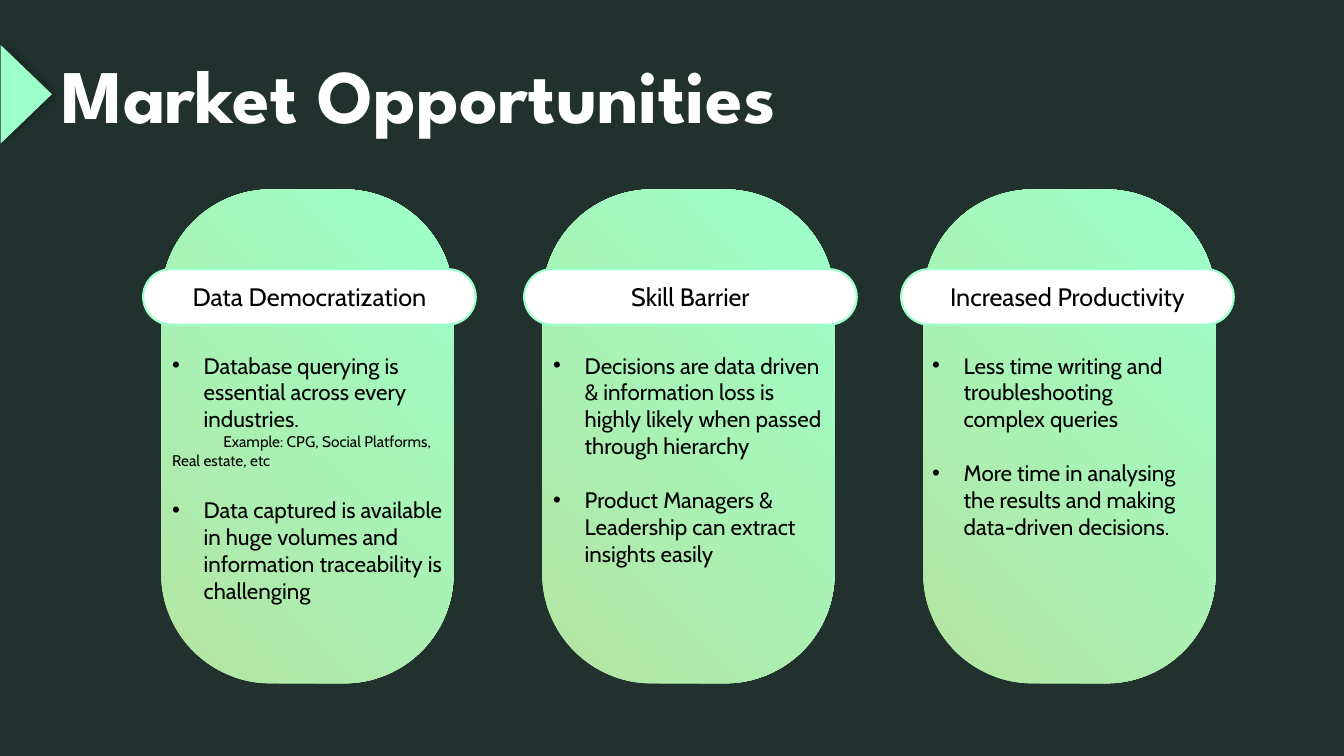
"""Build the Market Opportunities slide with three headed columns."""
import lxml.etree
import pptx
import pptx.dml.color
import pptx.enum.dml
import pptx.enum.shapes
import pptx.enum.text
import pptx.oxml.ns
import pptx.util

Pt = pptx.util.Pt
RGB = pptx.dml.color.RGBColor.from_string
SHAPE = pptx.enum.shapes.MSO_SHAPE
ANCHOR = pptx.enum.text.MSO_ANCHOR
ALIGN = pptx.enum.text.PP_ALIGN
qn = pptx.oxml.ns.qn

TITLE = "Market Opportunities"
COLUMNS = [
    {"head": "Data Democratization", "pill_x": 102.24, "text_x": 115.92, "text_w": 208.8,
     "body": [("bullet", "Database querying is essential across every industries."),
              ("example", "Example: CPG, Social Platforms, Real estate, etc"),
              ("bullet", "Data captured is available in huge volumes and "
                         "information traceability is challenging")]},
    {"head": "Skill Barrier", "pill_x": 374.4, "text_x": 388.08, "text_w": 208.8,
     "body": [("bullet", "Decisions are data driven & information loss is "
                         "highly likely when passed through hierarchy"),
              ("bullet", "Product Managers & Leadership can extract insights easily")]},
    {"head": "Increased Productivity", "pill_x": 643.68, "text_x": 658.8, "text_w": 189.36,
     "body": [("bullet", "Less time writing and troubleshooting complex queries"),
              ("bullet", "More time in analysing the results and making "
                         "data-driven decisions.")]},
]
THEME = {
    "background": RGB("21322E"), "mint": RGB("9DFFCA"), "leaf": RGB("B4E5A2"),
    "white": RGB("FFFFFF"), "black": RGB("000000"),
    "title_font": "League Spartan", "body_font": "Cabin",
    "title": Pt(54), "head": Pt(18), "bullet": Pt(16), "example": Pt(11),
}
CARD_X, CARD_STEP, CARD_Y, CARD_W, CARD_H = 115.2, 272.16, 135.36, 208.8, 352.8
PILL_Y, PILL_W, PILL_H = 192.24, 237.6, 39.6
BODY_Y, BODY_H = 247.68, 211
INDENT = {"bullet": (22.5, -22.5), "example": (0, 36.5)}
BULLET_GAP = 19.4


def style(p, font, size, color, bold=False):
    """Format a whole paragraph."""
    p.font.name, p.font.size, p.font.bold = font, size, bold
    p.font.color.rgb = color


def add_shape(s, kind, x, y, w, h):
    """Add a preset shape without line or shadow."""
    sp = s.shapes.add_shape(kind, Pt(x), Pt(y), Pt(w), Pt(h))
    sp.shadow.inherit = False
    sp.line.fill.background()
    return sp


def add_title(s):
    """Place and format the title placeholder."""
    sp = s.shapes.title
    sp.left, sp.top, sp.width, sp.height = Pt(36.72), Pt(30.96), Pt(794.16), Pt(72.72)
    tf = sp.text_frame
    tf.text = TITLE
    tf.auto_size = pptx.enum.text.MSO_AUTO_SIZE.NONE
    tf.vertical_anchor = ANCHOR.TOP
    p = tf.paragraphs[0]
    p.alignment = ALIGN.LEFT
    style(p, THEME["title_font"], THEME["title"], THEME["white"], True)


def add_marker(s):
    """Add the shadowed triangle at the left edge."""
    sp = add_shape(s, SHAPE.ISOSCELES_TRIANGLE, -16.56, 48.96, 70.56, 36.72)
    sp.rotation = 90
    sp.fill.solid()
    sp.fill.fore_color.rgb = THEME["mint"]
    effects = sp._element.spPr.find(qn("a:effectLst"))
    shadow = lxml.etree.SubElement(effects, qn("a:outerShdw"), blurRad=str(Pt(8)),
                                   dist=str(Pt(3)), dir="0", rotWithShape="0")
    color = lxml.etree.SubElement(shadow, qn("a:srgbClr"), val=str(THEME["black"]))
    lxml.etree.SubElement(color, qn("a:alpha"), val="26000")


def add_card(s, x):
    """Add a gradient column background."""
    sp = add_shape(s, SHAPE.ROUNDED_RECTANGLE, x, CARD_Y, CARD_W, CARD_H)
    sp.adjustments[0] = 0.375
    sp.fill.gradient()
    sp.fill.gradient_angle = 45
    for stop, name, position in zip(sp.fill.gradient_stops, ("leaf", "mint"), (0, 1)):
        stop.color.rgb = THEME[name]
        stop.position = position


def add_pill(s, x, text):
    """Add a column heading."""
    sp = add_shape(s, SHAPE.ROUNDED_RECTANGLE, x, PILL_Y, PILL_W, PILL_H)
    sp.adjustments[0] = 0.5
    sp.fill.solid()
    sp.fill.fore_color.rgb = THEME["white"]
    sp.line.color.rgb = THEME["mint"]
    sp.line.width = Pt(1.5)
    tf = sp.text_frame
    tf.text = text
    tf.vertical_anchor = ANCHOR.MIDDLE
    p = tf.paragraphs[0]
    p.alignment = ALIGN.CENTER
    style(p, THEME["body_font"], THEME["head"], THEME["black"])


def add_body(s, x, w, body):
    """Add the column text."""
    tf = s.shapes.add_textbox(Pt(x), Pt(BODY_Y), Pt(w), Pt(BODY_H)).text_frame
    tf.word_wrap = True
    for i, (kind, text) in enumerate(body):
        p = tf.add_paragraph() if i else tf.paragraphs[0]
        p.text = text
        style(p, THEME["body_font"], THEME[kind], THEME["black"])
        margin, indent = INDENT[kind]
        pPr = p._p.get_or_add_pPr()
        pPr.set("marL", str(Pt(margin)))
        pPr.set("indent", str(Pt(indent)))
        if kind == "bullet":
            if i:
                p.space_before = Pt(BULLET_GAP)
            font = lxml.etree.Element(qn("a:buFont"), typeface="Arial")
            bullet = lxml.etree.Element(qn("a:buChar"), char="•")
            for node in (font, bullet):
                pPr.find(qn("a:defRPr")).addprevious(node)


def main():
    """Assemble and save the slide."""
    prs = pptx.Presentation()
    prs.slide_width, prs.slide_height = Pt(960), Pt(540)
    s = prs.slides.add_slide(prs.slide_layouts[5])
    s.background.fill.solid()
    s.background.fill.fore_color.rgb = THEME["background"]
    add_title(s)
    add_marker(s)
    for i, column in enumerate(COLUMNS):
        add_card(s, CARD_X + i * CARD_STEP)
        add_pill(s, column["pill_x"], column["head"])
        add_body(s, column["text_x"], column["text_w"], column["body"])
    prs.save("out.pptx")


if __name__ == "__main__":
    main()
